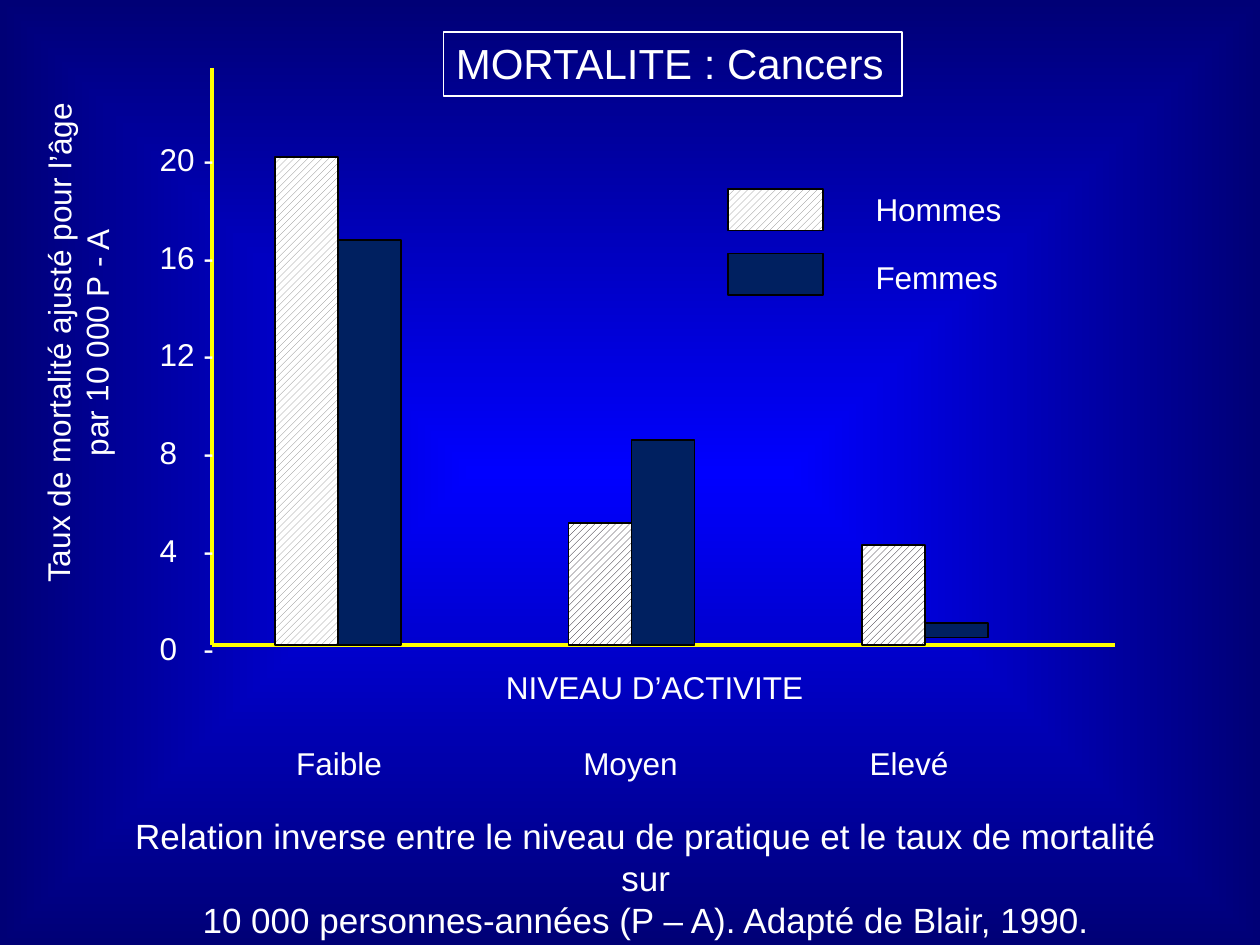
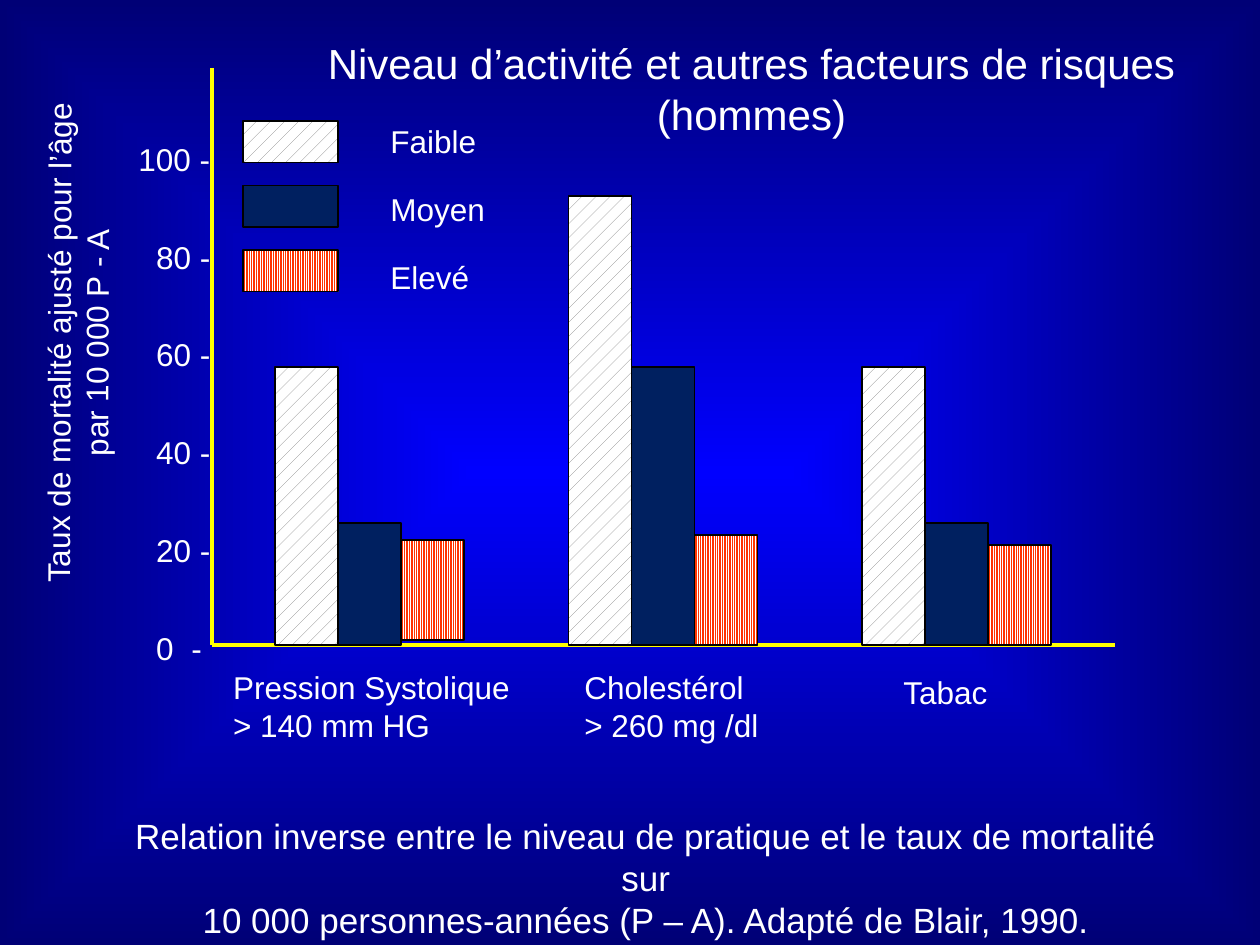
from itertools import cycle

from lxml.etree import SubElement
from pptx import Presentation
from pptx.dml.color import RGBColor
from pptx.enum.dml import MSO_PATTERN
from pptx.enum.shapes import MSO_CONNECTOR, MSO_SHAPE
from pptx.enum.text import PP_ALIGN
from pptx.oxml.ns import qn
from pptx.util import Cm, Pt

FONT = "Arial"
WHITE, BLACK, YELLOW, NAVY = "FFFFFF", "000000", "FFFF00", "002060"
GLOW, EDGE = "0000FF", "000076"

# Fills: a hex string, or (pattern, front, back)
HATCH = (MSO_PATTERN.WIDE_UPWARD_DIAGONAL, "808080", WHITE)
DARK = (MSO_PATTERN.WIDE_UPWARD_DIAGONAL, "090010", WHITE)
DOTS = (MSO_PATTERN.PERCENT_10, "808080", WHITE)
STRIPE = (MSO_PATTERN.LIGHT_VERTICAL, WHITE, "FF3300")

# Boxes in cm: left, top, width, height
PLOT = (4.27, 1.37, 18.21, 11.63)
SIDE = (-3.64, 6.02, 10.4, 1.78)
FOOT = (1.97, 16.3, 22.1, 1.96)

BAR = 1.27      # bar width
PITCH = 5.92    # from one group of bars to the next
FIRST = 1.27    # from the axis to the first bar
SCALE = 9.83    # height of the highest tick


def color(code):
    return RGBColor.from_string(code)


def text(slide, box, lines, size=18, align=PP_ALIGN.LEFT, gap=0,
         lead=None, tabs=((),), turn=0, frame=None):
    """Add a text box; tabs holds the stops (cm) of each line in turn."""
    shape = slide.shapes.add_textbox(*map(Cm, box))
    shape.rotation = turn
    if frame:
        shape.line.color.rgb = color(frame)
        shape.line.width = Pt(1)
    body = shape.text_frame
    body.word_wrap = True
    for num, (line, stops) in enumerate(zip(lines, cycle(tabs))):
        para = body.add_paragraph() if num else body.paragraphs[0]
        if stops:
            tab_list = SubElement(para._p.get_or_add_pPr(), qn("a:tabLst"))
            for stop in stops:
                SubElement(tab_list, qn("a:tab"), pos=str(Cm(stop)), algn="l")
        para.alignment = align
        para.line_spacing = lead
        para.space_before = Pt(gap if num else 0)
        run = para.add_run()
        run.text = line
        run.font.name, run.font.size = FONT, Pt(size)
        run.font.color.rgb = color(WHITE)
    return shape


def block(slide, box, fill):
    """Add a black-edged rectangle, plain or patterned."""
    shape = slide.shapes.add_shape(MSO_SHAPE.RECTANGLE, *map(Cm, box))
    shape.shadow.inherit = False
    if isinstance(fill, str):
        shape.fill.solid()
        shape.fill.fore_color.rgb = color(fill)
    else:
        shape.fill.patterned()
        shape.fill.pattern, front, back = fill
        shape.fill.fore_color.rgb = color(front)
        shape.fill.back_color.rgb = color(back)
    shape.line.color.rgb = color(BLACK)
    shape.line.width = Pt(1)


def rule(slide, *ends):
    line = slide.shapes.add_connector(MSO_CONNECTOR.STRAIGHT, *map(Cm, ends))
    line.line.color.rgb = color(YELLOW)
    line.line.width = Pt(2.25)
    SubElement(line._element.spPr, qn("a:effectLst"))


def axes(slide, box, ticks, inset, tabs):
    """Draw both axes and the column of tick labels left of them."""
    left, top, width, height = box
    base = top + height
    rule(slide, left, top, left, base)
    rule(slide, left, base, left + width, base)
    text(slide, (left - inset, top + 1.44, inset + 0.4, 11.2), ticks,
         lead=0.85, gap=37.5, tabs=[tabs])


def bars(slide, box, groups, fills, peak):
    """Draw bars; a pair gives the value and how far it floats above zero."""
    left, top, width, height = box
    unit = SCALE / peak
    for col, group in enumerate(groups):
        for num, (item, fill) in enumerate(zip(group, fills[col])):
            value, lift = item if isinstance(item, tuple) else (item, 0)
            block(slide, (left + FIRST + col * PITCH + num * BAR,
                          top + height - (value + lift) * unit,
                          BAR, value * unit), fill)


def legend(slide, left, top, items):
    for num, (name, fill) in enumerate(items):
        block(slide, (left, top + num * 1.3, 1.91, 0.84), fill)
        text(slide, (left + 2.72, top - 0.1 + num * 1.37, 3.2, 1.02), [name])


def notes(slide):
    """Add the side title and the caption that every slide carries."""
    text(slide, SIDE, ["Taux de mortalité ajusté pour l’âge",
                       "par 10 000 P - A"],
         align=PP_ALIGN.CENTER, turn=270.2)
    text(slide, FOOT, ["Relation inverse entre le niveau de pratique et le "
                       "taux de mortalité sur",
                       "10 000 personnes-années (P – A). "
                       "Adapté de Blair, 1990."],
         size=20, align=PP_ALIGN.CENTER)


def cancer(slide):
    axes(slide, PLOT, ["20 -", "16 -", "12 -", "8\t-", "4\t-", "0\t-"],
         1.3, [0.88])
    bars(slide, PLOT, [(20, 16.6), (5, 8.4), (4.1, (0.6, 0.3))],
         [(HATCH, NAVY), (DARK, NAVY), (DARK, NAVY)], 20)
    text(slide, (8.94, 0.64, 9.25, 1.3), ["MORTALITE : Cancers"],
         size=24, frame=WHITE)
    legend(slide, 14.68, 3.81, [("Hommes", HATCH), ("Femmes", NAVY)])
    # Activity levels
    text(slide, (4.65, 13.34, 18.62, 2.54),
         ["\tNIVEAU D’ACTIVITE", "\tFaible\tMoyen\tElevé"],
         gap=22, tabs=[[5.3], [1.07, 6.86, 12.63]])
    notes(slide)


def risk(slide):
    levels = [("Faible", DOTS), ("Moyen", NAVY), ("Elevé", STRIPE)]
    fills = [fill for _, fill in levels]
    axes(slide, PLOT, ["100 -", "\t80 -", "\t60 -", "\t40 -", "\t20 -",
                       "\t0\t-"], 1.73, [0.36, 1.07])
    bars(slide, PLOT, [(57, 25, (20.5, 1)), (92, 57, 22.5), (57, 25, 20.5)],
         [fills] * 3, 100)
    text(slide, (6.25, 0.64, 17.8, 2.29),
         ["Niveau d’activité et autres facteurs de risques", "(hommes)"],
         size=24, align=PP_ALIGN.CENTER)
    legend(slide, 4.9, 2.44, levels)
    # Risk factors
    text(slide, (4.45, 13.34, 6.2, 1.78),
         ["Pression Systolique", "> 140 mm HG"])
    text(slide, (11.53, 13.34, 4.1, 1.78), ["Cholestérol", "> 260 mg /dl"])
    text(slide, (17.96, 13.44, 2.5, 1.02), ["Tabac"])
    notes(slide)


def backdrop(master):
    """Give the master a gradient that glows from its centre."""
    fill = master.background.fill
    fill.gradient()
    for stop, code, place in zip(fill.gradient_stops, (GLOW, EDGE), (0, 1)):
        stop.color.rgb = color(code)
        stop.position = place
    grad = master.element.find(".//" + qn("a:gradFill"))
    for lin in grad.findall(qn("a:lin")):
        grad.remove(lin)
    shade = SubElement(grad, qn("a:path"))
    shade.set("path", "shape")
    SubElement(shade, qn("a:fillToRect"),
               {side: "50000" for side in "ltrb"})


def main():
    deck = Presentation()
    deck.slide_width, deck.slide_height = Cm(25.4), Cm(19.05)
    backdrop(deck.slide_master)
    for build in (cancer, risk):
        build(deck.slides.add_slide(deck.slide_layouts[6]))
    deck.save("out.pptx")


if __name__ == "__main__":
    main()
